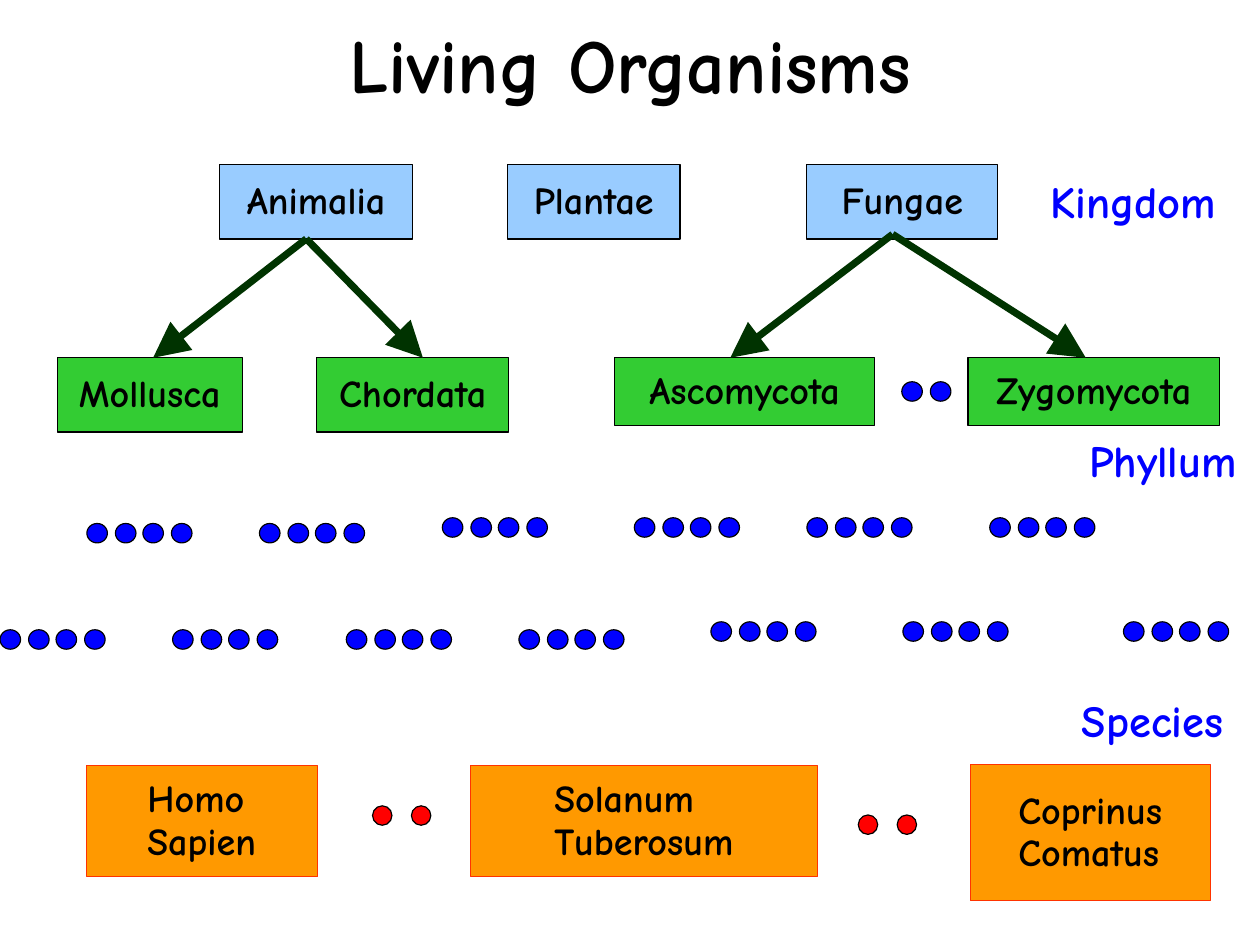
from dataclasses import dataclass

from lxml import etree
from pptx import Presentation
from pptx.dml.color import RGBColor
from pptx.enum.shapes import MSO_CONNECTOR, MSO_SHAPE
from pptx.enum.text import MSO_ANCHOR, MSO_AUTO_SIZE, PP_ALIGN
from pptx.oxml.ns import qn
from pptx.util import Inches, Pt

ROUNDED, OVAL = MSO_SHAPE.ROUNDED_RECTANGLE, MSO_SHAPE.OVAL
STRAIGHT = MSO_CONNECTOR.STRAIGHT
MIDDLE, NO_AUTOFIT = MSO_ANCHOR.MIDDLE, MSO_AUTO_SIZE.NONE
LEFT, CENTER = PP_ALIGN.LEFT, PP_ALIGN.CENTER


@dataclass(frozen=True)
class Theme:
    font: str = "Comic Neue"
    title_size: int = 48
    label_size: int = 28
    box_size: int = 24
    black: str = "000000"
    kingdom: str = "99CCFF"
    phylum: str = "33CC33"
    species: str = "FF9900"
    species_line: str = "FF3300"
    arrow: str = "003300"
    blue: str = "0000FF"
    red: str = "FF0000"
    thin: float = 0.75
    thick: float = 4.5


def rgb(value):
    return RGBColor.from_string(value)


def write(tf, text, *, font, size, color, align=CENTER, spacing=0.93,
          wrap=False, insets=(0.1, 0.05, 0.1, 0.05)):
    """Fill a text frame with one bold paragraph."""
    tf.auto_size = NO_AUTOFIT
    tf.word_wrap = wrap
    tf.vertical_anchor = MIDDLE
    tf.margin_left, tf.margin_top, tf.margin_right, tf.margin_bottom = map(Inches, insets)
    p = tf.paragraphs[0]
    p.alignment = align
    p.line_spacing = spacing
    r = p.add_run()
    r.text = text
    r.font.name = font
    r.font.size = Pt(size)
    r.font.bold = True
    r.font.color.rgb = rgb(color)


class Deck:
    def __init__(self, prs, theme):
        self.theme = theme
        self.s = prs.slides.add_slide(prs.slide_layouts[5])

    def title(self, text, x, y, w, h):
        t, sp = self.theme, self.s.shapes.title
        sp.left, sp.top, sp.width, sp.height = map(Inches, (x, y, w, h))
        write(sp.text_frame, text, font=t.font, size=t.title_size, color=t.black,
              spacing=0.92, wrap=True, insets=(0, 0, 0, 0))

    def shape(self, kind, x, y, w, h, fill, line):
        sp = self.s.shapes.add_shape(kind, *map(Inches, (x, y, w, h)))
        sp.shadow.inherit = False
        sp.fill.solid()
        sp.fill.fore_color.rgb = rgb(fill)
        sp.line.color.rgb = rgb(line)
        sp.line.width = Pt(self.theme.thin)
        return sp

    def box(self, text, x, y, w, h, fill, line=None, **fmt):
        t = self.theme
        sp = self.shape(ROUNDED, x, y, w, h, fill, line or t.black)
        sp.adjustments[0] = 0
        write(sp.text_frame, text, font=t.font, size=t.box_size, color=t.black, **fmt)

    def label(self, text, x, y, w=1.85, h=1.62):
        t = self.theme
        sp = self.s.shapes.add_textbox(*map(Inches, (x, y, w, h)))
        write(sp.text_frame, text, font=t.font, size=t.label_size, color=t.blue)

    def dots(self, x, y, offsets, fill, w=0.18, h=0.17):
        for offset in offsets:
            self.shape(OVAL, x + offset, y, w, h, fill, self.theme.black)

    def arrow(self, start, end):
        cn = self.s.shapes.add_connector(STRAIGHT, *map(Inches, (*start, *end)))
        cn.line.color.rgb = rgb(self.theme.arrow)
        cn.line.width = Pt(self.theme.thick)
        ln = cn._element.spPr.find(qn("a:ln"))
        etree.SubElement(ln, qn("a:tailEnd"), type="triangle", w="lg", len="lg")
        etree.SubElement(cn._element.spPr, qn("a:effectLst"))


def main():
    prs = Presentation()
    prs.slide_width = Pt(793.75)
    prs.slide_height = Pt(595.25)
    t = Theme()
    d = Deck(prs, t)
    d.title("Living Organisms", 0.81, 0.14, 9.41, 0.91)

    # Kingdoms
    for name, x, w in (("Animalia", 1.92, 1.69), ("Fungae", 7.06, 1.67),
                       ("Plantae", 4.44, 1.51)):
        d.box(name, x, 1.44, w, 0.65, t.kingdom)

    # Phyla
    for name, x, w, h in (("Mollusca", 0.5, 1.62, 0.65), ("Chordata", 2.77, 1.68, 0.65),
                          ("Ascomycota", 5.38, 2.27, 0.59), ("Zygomycota", 8.47, 2.2, 0.59)):
        d.box(name, x, 3.13, w, h, t.phylum)
    d.dots(7.89, 3.34, (0, 0.25), t.blue)

    # Species: names wrap onto two left-aligned lines after an indent
    for name, x, y, w, h, indent in (("Homo Sapien", 0.76, 6.7, 2.02, 0.97, 0.53),
                                     ("Solanum Tuberosum", 4.12, 6.7, 3.03, 0.97, 0.73),
                                     ("Coprinus Comatus", 8.49, 6.69, 2.1, 1.19, 0.42)):
        d.box(name, x, y, w, h, t.species, t.species_line, align=LEFT, wrap=True,
              insets=(indent, 0.05, 0.1, 0.05))

    # Arrows from kingdom to phylum
    for start, ends in (((2.68, 2.09), (1.34, 3.7)), ((7.81, 2.05), (6.39, 9.5))):
        for x in ends:
            d.arrow(start, (x, 3.13))

    # Omitted ranks: groups of four dots
    for y, lefts in ((4.58, (0.76, 2.27)), (4.53, (3.87, 5.55, 7.06, 8.66)),
                     (5.51, (0, 1.51, 3.03, 4.54)), (5.44, (6.22, 7.9, 9.83))):
        for x in lefts:
            d.dots(x, y, (0, 0.25, 0.49, 0.74), t.blue)

    # Rank labels
    for name, x, y in (("Kingdom", 8.99, 0.97), ("Phyllum", 9.25, 3.24),
                       ("Species", 9.16, 5.51)):
        d.label(name, x, y)

    # Omitted species
    for x, y in ((3.26, 7.05), (7.51, 7.13)):
        d.dots(x, y, (0, 0.34), t.red, w=0.17)

    prs.save("out.pptx")


if __name__ == "__main__":
    main()
